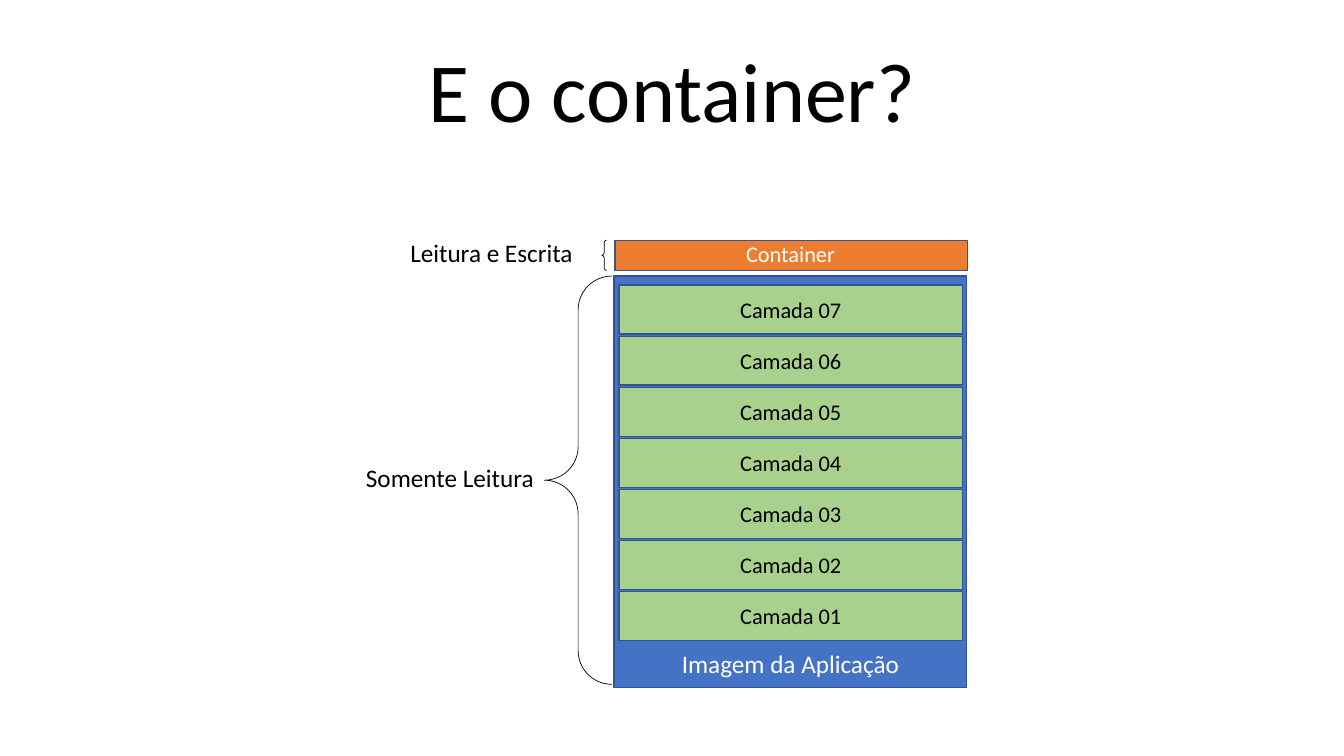
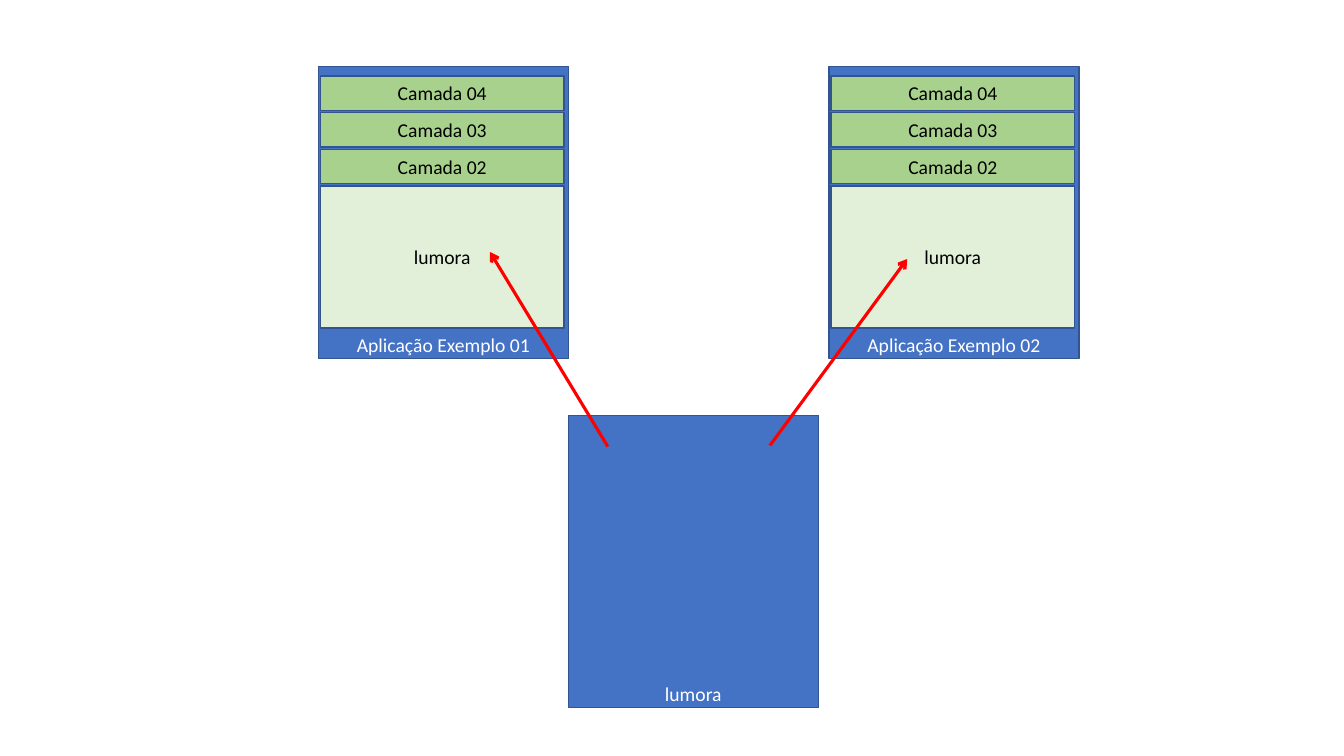
"""Two slides on container image layers and a base image shared by applications."""
from lxml import etree
from pptx import Presentation
from pptx.dml.color import RGBColor
from pptx.enum import shapes, text
from pptx.oxml import ns
from pptx.util import Pt

COLORS = {
    "black": "000000",
    "white": "FFFFFF",
    "frame": "4472C4",
    "outline": "325491",
    "layer": "A9D18E",
    "base": "E2F0D9",
    "container": "ED7D31",
    "arrow": "FF0000",
}
FONT = "Calibri"
BASE_NAME = "lumora"
SLIDE_WIDTH, SLIDE_HEIGHT = 960, 540
TITLE_ONLY, BLANK = 5, 6
APP_WIDTH, APP_HEIGHT = 178.5, 208.8


def color(name):
    """Return the named palette colour."""
    return RGBColor.from_string(COLORS[name])


def points(*values):
    """Convert numbers to lengths in points."""
    return [Pt(value) for value in values]


def write(frame, words, size, ink, align=text.PP_ALIGN.CENTER):
    """Write one formatted paragraph in a text frame."""
    frame.word_wrap = True
    para = frame.paragraphs[0]
    para.text = words
    para.alignment = align
    para.font.name = FONT
    para.font.size = Pt(size)
    para.font.color.rgb = color(ink)


def add_title(page, words):
    """Place the title across the full slide width."""
    title = page.shapes.title
    title.left, title.top, title.width, title.height = points(0, 23.8, SLIDE_WIDTH, 80)
    write(title.text_frame, words, 60, "black")
    title.text_frame.auto_size = text.MSO_AUTO_SIZE.NONE
    title.text_frame.vertical_anchor = text.MSO_ANCHOR.TOP


def add_label(parent, box, words, size, ink, align=text.PP_ALIGN.CENTER):
    """Add a text box holding one line."""
    label = parent.add_textbox(*points(*box))
    write(label.text_frame, words, size, ink, align)


def add_block(parent, box, fill, words=None, size=None):
    """Add an outlined rectangle, with centred text if any is given."""
    block = parent.add_shape(shapes.MSO_SHAPE.RECTANGLE, *points(*box))
    block.shadow.inherit = False
    block.fill.solid()
    block.fill.fore_color.rgb = color(fill)
    block.line.color.rgb = color("outline")
    block.line.width = Pt(1)
    if words:
        block.text_frame.vertical_anchor = text.MSO_ANCHOR.MIDDLE
        write(block.text_frame, words, size, "black")


def add_braces(parent, box):
    """Add a thin pair of braces."""
    braces = parent.add_shape(shapes.MSO_SHAPE.DOUBLE_BRACE, *points(*box))
    braces.shadow.inherit = False
    braces.fill.background()
    braces.line.color.rgb = color("black")
    braces.line.width = Pt(0.5)


def add_arrow(page, start, end):
    """Add a red arrow between two points."""
    arrow = page.shapes.add_connector(
        shapes.MSO_CONNECTOR.STRAIGHT, *points(*start, *end))
    arrow.line.color.rgb = color("arrow")
    arrow.line.width = Pt(2.25)
    properties = arrow._element.spPr
    tail = etree.SubElement(properties.find(ns.qn("a:ln")), ns.qn("a:tailEnd"))
    tail.set("type", "arrow")
    etree.SubElement(properties, ns.qn("a:effectLst"))


def add_layers(parent, left, top, width, height, pitch, numbers, size):
    """Stack numbered layers downwards at an equal pitch."""
    for row, number in enumerate(numbers):
        add_block(parent, (left, top + row * pitch, width, height),
                  "layer", f"Camada {number:02d}", size)


def add_container(page, left, top):
    """Draw the writable container layer with its brace and label."""
    parent = page.shapes.add_group_shape().shapes
    add_braces(parent, (left - 9.4, top, 252, 21.6))
    add_label(parent, (left - 153.2, top - 6, 139, 29), "Leitura e Escrita",
              18, "black", text.PP_ALIGN.LEFT)
    add_block(parent, (left, top, 252, 21.6), "container")
    add_label(parent, (left + 8, top - 3.8, 235, 26.6), "Container", 16, "white")


def add_read_only_image(page, left, top):
    """Draw the application image with seven layers, a brace and a label."""
    parent = page.shapes.add_group_shape().shapes
    add_braces(parent, (left - 49.7, top, 288.7, 291.6))
    add_label(parent, (left - 184.3, top + 129.6, 137, 29), "Somente Leitura",
              18, "black", text.PP_ALIGN.LEFT)
    add_block(parent, (left, top, 252, 293.8), "frame")
    add_label(parent, (left, top + 262.6, 252, 29), "Imagem da Aplicação", 18, "white")
    add_layers(parent, left + 3.5, top + 6.5, 245.5, 35, 36.45, range(7, 0, -1), 16)


def add_image(page, left, top, caption):
    """Draw a captioned image frame and return its group's shapes."""
    parent = page.shapes.add_group_shape().shapes
    add_block(parent, (left, top, APP_WIDTH, APP_HEIGHT), "frame")
    add_label(parent, (left, top + 186.5, APP_WIDTH, 24.5), caption, 14, "white")
    return parent


def add_application(page, left, top, caption):
    """Draw an image with three layers on the shared base."""
    parent = add_image(page, left, top, caption)
    add_block(parent, (left + 1.3, top + 85.5, 174.2, 101.3), "base", BASE_NAME, 14)
    add_layers(parent, left + 1.3, top + 6.8, 174.2, 24.5, 26.2, range(4, 1, -1), 14)


def build_container_slide(deck):
    """Build the slide on the container's writable layer."""
    page = deck.slides.add_slide(deck.slide_layouts[TITLE_ONLY])
    add_container(page, 439.2, 171.6)
    add_title(page, "E o container?")
    add_read_only_image(page, 438.6, 197.2)


def build_shared_base_slide(deck):
    """Build the slide on two applications sharing one base image."""
    page = deck.slides.add_slide(deck.slide_layouts[BLANK])
    for number, left in enumerate((227.5, 592.2), start=1):
        add_application(page, left, 47.5, f"Aplicação Exemplo {number:02d}")
    add_image(page, 406, 296.8, BASE_NAME)
    add_arrow(page, (434.2, 319), (350, 180))
    add_arrow(page, (550, 318.2), (648, 185))


def main():
    """Build and save the deck."""
    deck = Presentation()
    deck.slide_width, deck.slide_height = points(SLIDE_WIDTH, SLIDE_HEIGHT)
    build_container_slide(deck)
    build_shared_base_slide(deck)
    deck.save("out.pptx")


if __name__ == "__main__":
    main()
